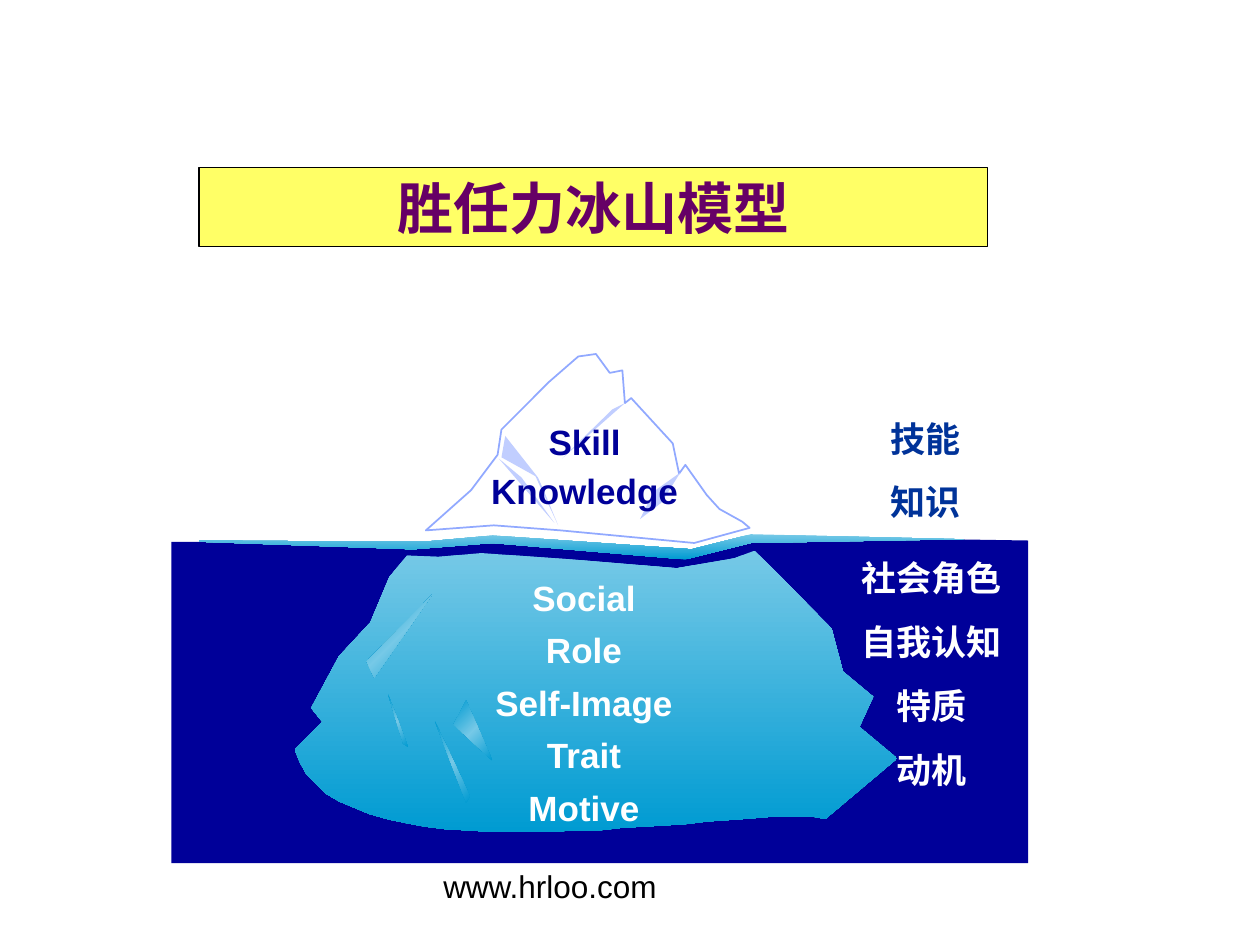
from copy import deepcopy

from lxml import etree
from pptx import Presentation
from pptx import util as u
from pptx.dml.color import RGBColor
from pptx.enum import shapes, text
from pptx.oxml import ns

COLORS = {
    "ink": "000000", "white": "FFFFFF", "banner": "FFFF66", "title": "660066",
    "sea": "000099", "label": "003399", "edge": "91A9FF", "crack": "C1CEFF",
    "ice": "76C9E7", "deep": "009BD2",
}
DEPTH = ("ice", "deep")
GLINT = ("deep", "ice", "deep")

SEA = [(36, 485), (36, 230), (186, 230), (231, 232), (286, 229), (329, 230), (449, 239),
       (504, 229), (592, 227), (716, 229), (716, 485)]
PEAK = [(451, 231), (345, 221), (292, 217), (238, 221), (274, 189), (295, 161), (298, 141),
        (336, 103), (359, 83), (373, 81), (384, 96), (394, 94), (396, 120), (401, 116),
        (434, 152), (439, 176), (444, 169), (461, 193), (471, 204), (489, 214), (495, 219)]
BODY = [(209, 258), (223, 241), (248, 242), (282, 239), (353, 244), (437, 251), (472, 245),
        (483, 243), (499, 237), (516, 254), (560, 299), (569, 333), (593, 353), (582, 377),
        (612, 402), (555, 450), (550, 449), (544, 448), (526, 448), (515, 448), (503, 449),
        (490, 450), (476, 451), (461, 452), (445, 454), (429, 455), (412, 456), (394, 457),
        (376, 459), (358, 459), (340, 460), (287, 460), (270, 459), (253, 458), (237, 456),
        (221, 453), (207, 450), (193, 446), (181, 441), (169, 436), (159, 430), (151, 422),
        (143, 414), (138, 405), (134, 395), (156, 373), (147, 362), (169, 321), (194, 294)]
CRACKS = [
    [(440, 175), (425, 199), (408, 212), (419, 190)],
    [(396, 120), (346, 164), (386, 125)],
    [(296, 164), (340, 215), (314, 179)],
    [(298, 163), (301, 146), (327, 179), (331, 188), (343, 217), (325, 178)],
]
GLINTS = [
    [(191, 325), (243, 272), (197, 338)],
    [(260, 375), (270, 356), (291, 404)],
    [(273, 432), (245, 372), (270, 437)],
    [(208, 351), (224, 393), (220, 390)],
]
SURFACE = [(58, 229), (236, 230), (291, 225), (449, 236), (496, 224), (665, 228),
           (496, 231), (444, 244), (291, 231), (228, 236), (58, 230)]


def rgb(name):
    """Return the named colour."""
    return RGBColor.from_string(COLORS[name])


def add_outline(page, box, points, fills, edge=None):
    """Draw a closed outline, in hundredths of an inch from the box corner."""
    builder = page.shapes.build_freeform(*points[0], scale=u.Inches(0.01))
    builder.add_line_segments(points[1:], close=True)
    outline = builder.convert_to_shape(u.Inches(box[0]), u.Inches(box[1]))
    outline.shadow.inherit = False
    if edge:
        outline.line.color.rgb = rgb(edge)
        outline.line.width = u.Pt(1)
    else:
        outline.line.fill.background()
    if len(fills) == 1:
        outline.fill.solid()
        outline.fill.fore_color.rgb = rgb(fills[0])
        return
    outline.fill.gradient()
    outline.fill.gradient_angle = 270 if fills == DEPTH else 315
    stops = outline._element.spPr.find(".//" + ns.qn("a:gsLst"))
    for _ in fills[2:]:
        stops.append(deepcopy(stops[0]))
    for index, (stop, fill) in enumerate(zip(outline.fill.gradient_stops, fills)):
        stop.color.rgb = rgb(fill)
        stop.position = index / (len(fills) - 1)


def add_text_shadow(span):
    """Give a run of text a small dark shadow."""
    effects = etree.SubElement(span.font._element, ns.qn("a:effectLst"))
    shadow = etree.SubElement(effects, ns.qn("a:outerShdw"), dist="25400", dir="2700000")
    etree.SubElement(shadow, ns.qn("a:srgbClr"), val=COLORS["ink"])
    span.font._element.find(ns.qn("a:solidFill")).addnext(effects)


def write_lines(frame, lines, color, size=20, bold=True, font="Arial", insets=(0.1, 0.05),
                spacing=None, gap=0, wrap=True, align=text.PP_ALIGN.CENTER, shadow=False):
    """Fill a text frame with equally formatted paragraphs."""
    frame.text = "\n".join(lines)
    frame.word_wrap = wrap
    frame.margin_left = frame.margin_right = u.Inches(insets[0])
    frame.margin_top = frame.margin_bottom = u.Inches(insets[1])
    for index, para in enumerate(frame.paragraphs):
        para.alignment = align
        para.line_spacing = spacing
        if index:
            para.space_before = u.Pt(gap)
        for span in para.runs:
            span.font.size, span.font.bold, span.font.name = u.Pt(size), bold, font
            span.font.color.rgb = rgb(color)
            if shadow:
                add_text_shadow(span)


def add_text(page, box, lines, color, **style):
    """Place a text box."""
    frame = page.shapes.add_textbox(*map(u.Inches, box)).text_frame
    write_lines(frame, lines, color, **style)


def add_banner(page, box, title):
    """Place the title on its yellow bar."""
    bar = page.shapes.add_shape(shapes.MSO_SHAPE.RECTANGLE, *map(u.Inches, box))
    bar.shadow.inherit = False
    bar.fill.solid()
    bar.fill.fore_color.rgb = rgb("banner")
    bar.line.color.rgb = rgb("ink")
    bar.line.width = u.Pt(0.75)
    bar.text_frame.vertical_anchor = text.MSO_ANCHOR.MIDDLE
    write_lines(bar.text_frame, [title], "title", size=32, font="Times New Roman", wrap=False)


def add_iceberg(page, box):
    """Draw the sea and the iceberg with its English labels."""
    left, top = box
    add_outline(page, box, SEA, ["sea"])
    add_outline(page, box, PEAK, ["white"], edge="edge")
    add_outline(page, box, BODY, DEPTH)
    for crack in CRACKS:
        add_outline(page, box, crack, ["crack"])
    for glint in GLINTS:
        add_outline(page, box, glint, GLINT)
    add_text(page, (left + 2.77, top + 2.43, 1.73, 1.78),
             ["Social Role", "Self-Image", "Trait", "Motive"], "white",
             insets=(0.12, 0.06), spacing=1.25, wrap=False, shadow=True)
    add_outline(page, box, SURFACE, DEPTH)
    add_text(page, (left + 2.75, top + 1.23, 1.78, 0.88), ["Skill", "Knowledge"], "sea",
             insets=(0.12, 0.06), spacing=1.15)


def add_side_labels(page, box):
    """Place the Chinese labels above and below the water line."""
    left, top = box
    style = {"insets": (0, 0), "gap": 12.5}
    add_text(page, (left, top, 1.89, 0.84), ["技能", "知识"], "label", **style)
    add_text(page, (left + 0.01, top + 1.11, 1.97, 1.86),
             ["社会角色", "自我认知", "特质", "动机"], "white", **style)


def main():
    """Build and save the slide."""
    deck = Presentation()
    deck.slide_width, deck.slide_height = u.Inches(10), u.Inches(7.5)
    page = deck.slides.add_slide(deck.slide_layouts[6])
    add_text(page, (3.42, 6.83, 3.17, 0.52), ["www.hrloo.com"], "ink", size=18,
             bold=False, align=text.PP_ALIGN.LEFT)
    add_banner(page, (1.58, 1.33, 6.26, 0.63), "胜任力冰山模型")
    add_iceberg(page, (1, 2))
    add_side_labels(page, (6.4, 3.31))
    deck.save("out.pptx")


if __name__ == "__main__":
    main()
